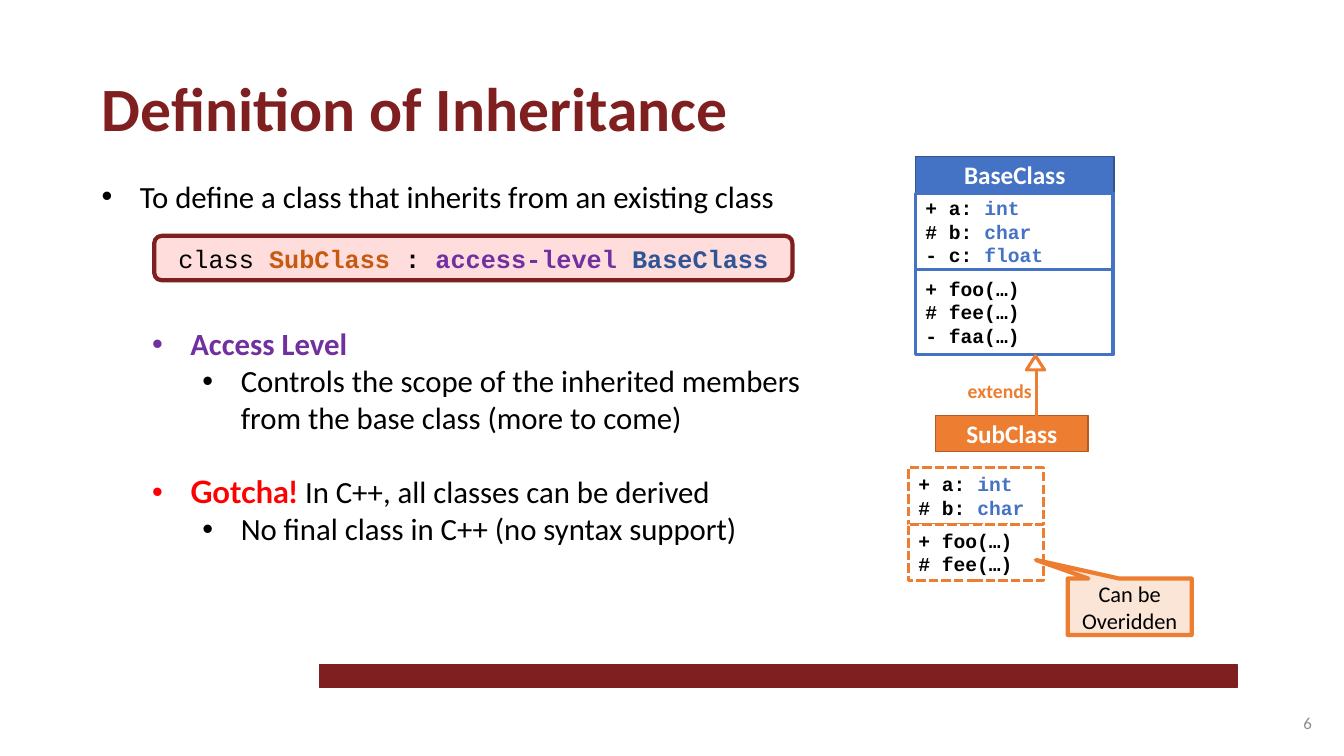
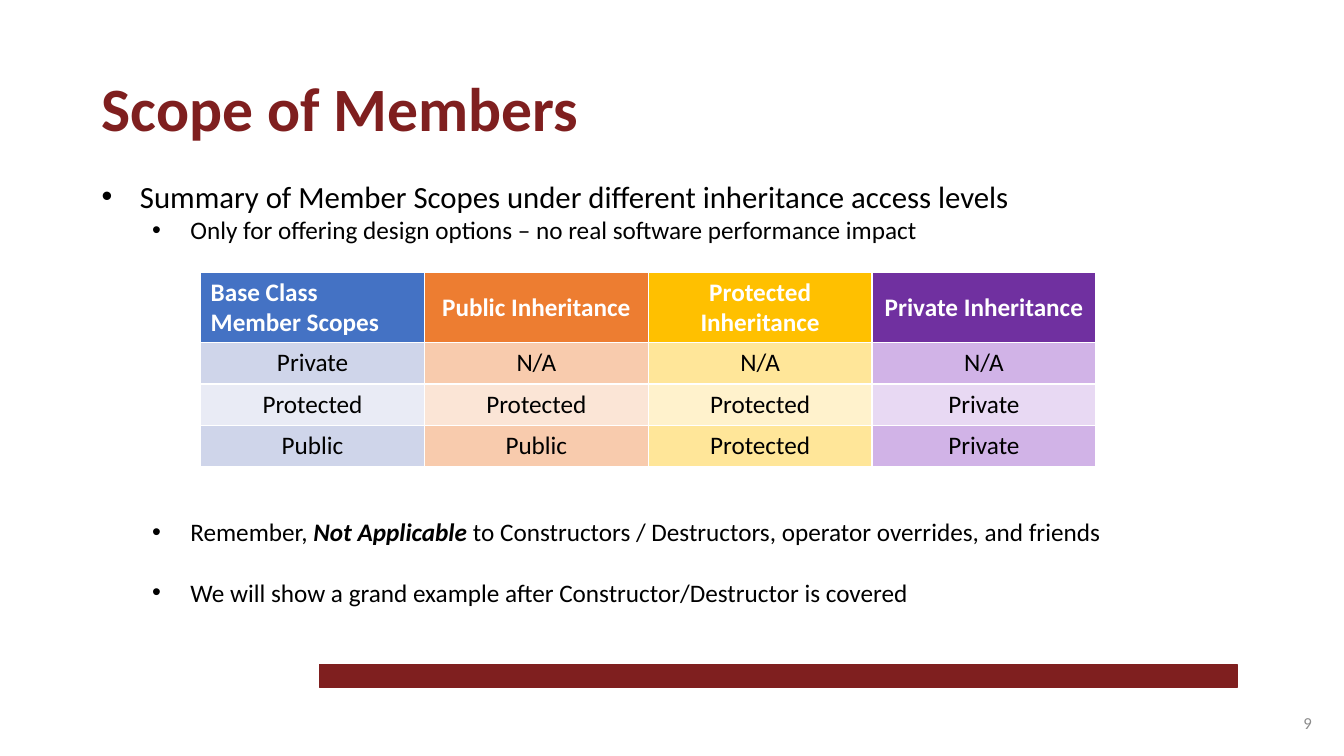
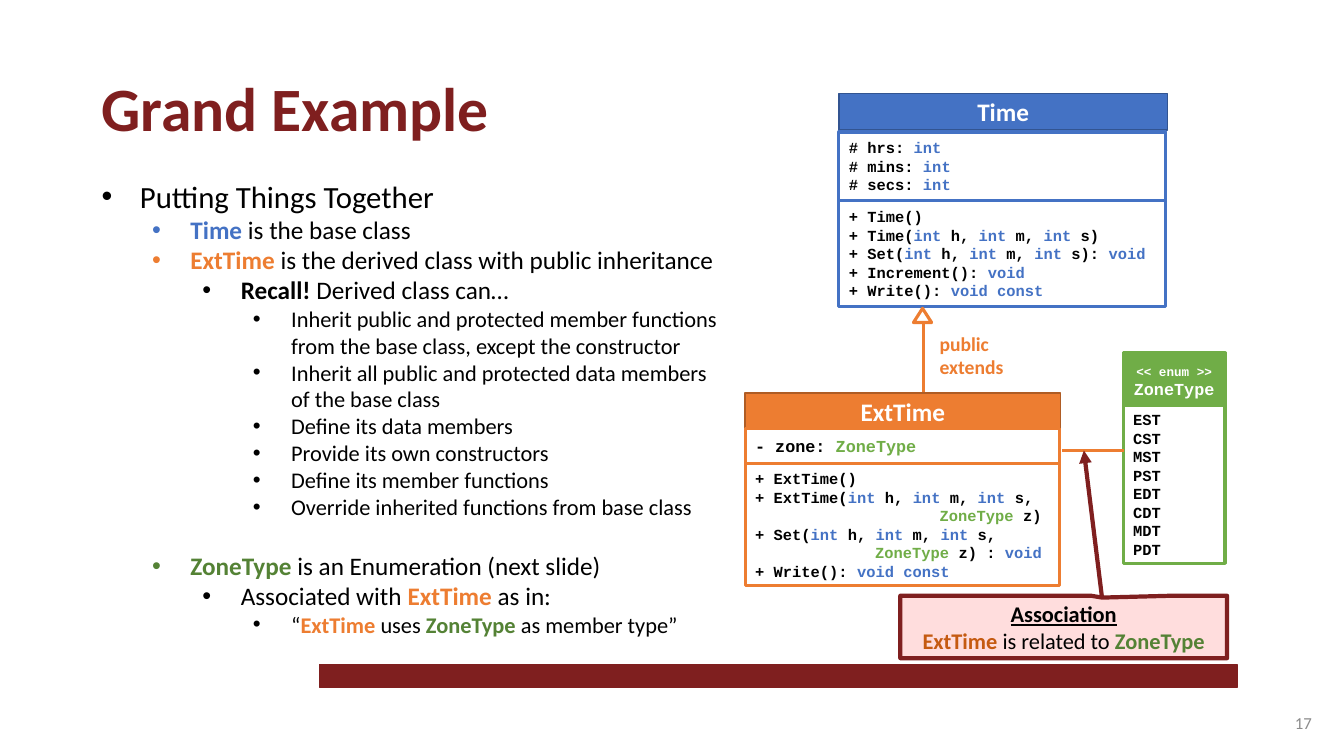
from lxml.etree import SubElement
from pptx import Presentation
from pptx.dml.color import RGBColor
from pptx.enum.dml import MSO_LINE
from pptx.enum.shapes import MSO_CONNECTOR, MSO_SHAPE as SHAPE
from pptx.enum.text import MSO_ANCHOR as ANCHOR, PP_ALIGN as ALIGN
from pptx.oxml.ns import qn
from pptx.util import Inches, Pt

COLORS = {
    "black": "000000", "white": "FFFFFF", "gray": "8C8C8C", "red": "FF0000",
    "maroon": "7F1F1F", "pink": "FFDDDD", "purple": "7030A0",
    "blue": "4472C4", "navy": "325491", "deepblue": "2F5597",
    "orange": "ED7D31", "brown": "AF5C24", "rust": "C55A11", "peach": "FBE5D6",
    "green": "70AD47", "forest": "548235",
}
SANS, CODE = "Calibri", "Courier New"
LINE_HEIGHT = 1.2
HEADER_HEIGHT = 0.36


def rgb(value):
    """Colour from a hex string or a name in COLORS."""
    return RGBColor.from_string(COLORS.get(value, value))


def split_marks(text):
    """Yield (styles, words); marked words look like [blue+b words]."""
    for piece in text.split("["):
        marked, bracket, plain = piece.rpartition("]")
        if bracket:
            styles, words = marked.split(" ", 1)
            yield styles.split("+"), words
        if plain:
            yield [], plain


class Deck:
    """The shared style and the slide being drawn."""

    def __init__(self):
        self.presentation = Presentation()
        self.presentation.slide_width = Inches(13.33)
        self.presentation.slide_height = Inches(7.5)
        self.slide = None

    def add_slide(self, title, number):
        self.slide = self.presentation.slides.add_slide(self.presentation.slide_layouts[6])
        self.box(3.17, 6.59, 9.1, 0.23, fill="maroon", line="maroon")
        self.label(0.91, 0.64, 8.1, 0.84, title, size=44, color="maroon", bold=True)
        self.label(10.11, 6.97, 3, 0.4, number, size=12, color="gray",
                   align=ALIGN.RIGHT, anchor=ANCHOR.MIDDLE)

    # Text
    def style_run(self, font, styles):
        for style in styles:
            if style in COLORS:
                font.color.rgb = rgb(style)
            elif style.isdigit():
                font.size = Pt(int(style))
            elif style == "b":
                font.bold = True
            elif style == "i":
                font.italic = True
            elif style == "u":
                font.underline = True
            else:
                font.name = style

    def fill_paragraph(self, paragraph, text, size, color="black", bold=False,
                       font=SANS, align=ALIGN.LEFT, exact=True):
        paragraph.alignment = align
        if exact:
            paragraph.line_spacing = Pt(size * LINE_HEIGHT)
        paragraph.font.name = font
        paragraph.font.size = Pt(size)
        paragraph.font.bold = bold
        paragraph.font.color.rgb = rgb(color)
        for styles, words in split_marks(text):
            for index, part in enumerate(words.split("\n")):
                if index:
                    paragraph.add_line_break()
                run = paragraph.add_run()
                run.text = part
                self.style_run(run.font, styles)

    def fill_frame(self, frame, lines, anchor=ANCHOR.MIDDLE, **style):
        """Fill a frame; a line is a string or (left indent, string)."""
        frame.word_wrap = True
        frame.vertical_anchor = anchor
        for index, line in enumerate(lines):
            paragraph = frame.add_paragraph() if index else frame.paragraphs[0]
            indent, text = (0, line) if isinstance(line, str) else line
            self.fill_paragraph(paragraph, text, **style)
            if indent:
                paragraph._p.get_or_add_pPr().set("marL", str(Inches(indent)))

    def text_box(self, left, top, width, height):
        return self.slide.shapes.add_textbox(
            Inches(left), Inches(top), Inches(width), Inches(height)).text_frame

    def label(self, left, top, width, height, text, anchor=ANCHOR.TOP, **style):
        self.fill_frame(self.text_box(left, top, width, height), [text], anchor, **style)

    def bullets(self, width, height, items):
        """Items are (level, size, text, empty lines' worth of space before)."""
        frame = self.text_box(0.91, 1.71, width, height)
        frame.word_wrap = True
        for index, (level, size, text, gap) in enumerate(items):
            paragraph = frame.add_paragraph() if index else frame.paragraphs[0]
            paragraph.level = level
            self.fill_paragraph(paragraph, text, size)
            paragraph.space_before = Pt(gap * LINE_HEIGHT * size)
            properties = paragraph._p.get_or_add_pPr()
            properties.set("marL", str(Inches(0.38 + 0.5 * level)))
            properties.set("indent", str(Inches(-0.38)))
            bullet_font = properties.makeelement(qn("a:buFont"), {"typeface": "Arial"})
            bullet = properties.makeelement(qn("a:buChar"), {"char": "•"})
            defaults = properties.find(qn("a:defRPr"))
            defaults.addprevious(bullet_font)
            defaults.addprevious(bullet)

    # Shapes
    def box(self, left, top, width, height, kind=SHAPE.RECTANGLE, fill=None,
            line="black", weight=1, dashed=False, lines=(), adjustments=(), **style):
        shape = self.slide.shapes.add_shape(
            kind, Inches(left), Inches(top), Inches(width), Inches(height))
        shape.shadow.inherit = False
        if fill:
            shape.fill.solid()
            shape.fill.fore_color.rgb = rgb(fill)
        else:
            shape.fill.background()
        shape.line.color.rgb = rgb(line)
        shape.line.width = Pt(weight)
        if dashed:
            shape.line.dash_style = MSO_LINE.SQUARE_DOT
        for index, value in enumerate(adjustments):
            shape.adjustments[index] = value
        if lines:
            self.fill_frame(shape.text_frame, lines, **style)

    def line(self, start, end, color, weight, arrow=False):
        connector = self.slide.shapes.add_connector(
            MSO_CONNECTOR.STRAIGHT, *(Inches(value) for value in start + end))
        connector.line.color.rgb = rgb(color)
        connector.line.width = Pt(weight)
        if arrow:
            SubElement(connector.line._get_or_add_ln(), qn("a:tailEnd"), type="triangle")
        SubElement(connector._element.spPr, qn("a:effectLst"))

    # Class diagrams
    def class_name(self, left, top, width, name, fill, line):
        self.box(left, top, width, HEADER_HEIGHT, fill=fill, line=line, lines=[name],
                 size=18, color="white", bold=True, align=ALIGN.CENTER)

    def compartments(self, left, top, width, color, parts, dashed=False):
        """Stack member boxes; parts are (height, text size, lines)."""
        for height, size, lines in parts:
            self.box(left, top, width, height, fill="white", line=color, weight=2.25,
                     dashed=dashed, lines=lines, size=size, bold=True, font=CODE)
            top += height

    def extends_arrow(self, x, top, bottom):
        self.box(x - 0.1, top, 0.18, 0.14, SHAPE.ISOSCELES_TRIANGLE,
                 line="orange", weight=2.25)
        self.line((x, top + 0.14), (x, bottom), "orange", 2.25)

    def callout(self, left, top, width, height, lines, fill, line, adjustments):
        self.box(left, top, width, height, SHAPE.RECTANGULAR_CALLOUT, fill=fill,
                 line=line, weight=3, adjustments=adjustments, lines=lines,
                 size=16, align=ALIGN.CENTER)

    # Tables
    def table(self, left, top, column_width, row_heights, rows, fills):
        columns = len(rows[0])
        table = self.slide.shapes.add_table(
            len(rows), columns, Inches(left), Inches(top),
            Inches(column_width * columns), Inches(sum(row_heights))).table
        for column in table.columns:
            column.width = Inches(column_width)
        for row_index, (height, texts) in enumerate(zip(row_heights, rows)):
            table.rows[row_index].height = Inches(height)
            header = row_index == 0
            for column_index, text in enumerate(texts):
                cell = table.cell(row_index, column_index)
                cell.fill.solid()
                # Body rows alternate between the second and third shade
                shade = 0 if header else 2 - row_index % 2
                cell.fill.fore_color.rgb = rgb(fills[column_index][shade])
                corner = header and column_index == 0
                cell.vertical_anchor = ANCHOR.MIDDLE if header and not corner else ANCHOR.TOP
                self.fill_frame(cell.text_frame, text.split("\n"), cell.vertical_anchor,
                                size=18, color="white" if header else "black", bold=header,
                                align=ALIGN.LEFT if corner else ALIGN.CENTER, exact=False)


def definition_slide(deck):
    deck.add_slide("Definition of Inheritance", "6")
    deck.bullets(11.23, 4.11, [
        (0, 22, "To define a class that inherits from an existing class", 0),
        (1, 22, "[purple+b Access Level]", 3),
        (2, 22, "[black Controls the scope of the inherited members\n"
                "from the base class (more to come)]", 0),
        (1, 22, "[red+b+Lato Gotcha! ]In C++, all classes can be derived", 1),
        (2, 22, "No final class in C++ (no syntax support)", 0),
    ])
    # Base class
    deck.class_name(9.08, 1.55, 1.97, "BaseClass", "blue", "navy")
    deck.compartments(9.08, 1.92, 1.96, "blue", [
        (0.75, 14, ["+ a: [blue int]", "# b: [blue char]", "- c: [blue float]"]),
        (0.85, 14, ["+ foo(…)", "# fee(…)", "- faa(…)"]),
    ])
    # Derived class
    deck.class_name(9.28, 4.12, 1.51, "SubClass", "orange", "brown")
    deck.extends_arrow(10.28, 3.53, 4.14)
    deck.label(9.5, 3.71, 1.03, 0.34, "extends", size=14, color="orange", bold=True)
    deck.compartments(9.01, 4.64, 1.34, "orange", [
        (0.56, 14, ["+ a: [blue int]", "# b: [blue char]"]),
        (0.56, 14, ["+ foo(…)", "# fee(…)"]),
    ], dashed=True)
    deck.callout(10.59, 5.74, 1.23, 0.56, ["Can be Overidden"],
                 "peach", "orange", (-0.757, -0.83))
    # Syntax
    deck.box(1.53, 2.34, 6.33, 0.44, SHAPE.ROUNDED_RECTANGLE, fill="pink", line="maroon",
             weight=3, size=18, font=CODE, align=ALIGN.CENTER,
             lines=["class [rust+b SubClass][b  : ][purple+b access-level ][deepblue+b BaseClass]"])


def scope_slide(deck):
    deck.add_slide("Scope of Members", "9")
    deck.bullets(10.21, 4.64, [
        (0, 22, "Summary of Member Scopes under different inheritance access levels", 0),
        (1, 18, "Only for offering design options – no real software performance impact", 0),
        (1, 18, "Remember, [b+i Not Applicable] to Constructors / Destructors, "
                "operator overrides, and friends", 9),
        (1, 18, "We will show a grand example after Constructor/Destructor is covered", 1),
    ])
    deck.table(1.99, 2.7, 2.22, [0.69, 0.41, 0.41, 0.41], [
        ["Base Class\nMember Scopes", "Public Inheritance", "Protected Inheritance",
         "Private Inheritance"],
        ["Private", "N/A", "N/A", "N/A"],
        ["Protected", "Protected", "Protected", "Private"],
        ["Public", "Public", "Protected", "Private"],
    ], [
        ("blue", "CFD5EA", "E9EBF5"),
        ("orange", "F8CBAD", "FBE5D6"),
        ("FFC000", "FFE699", "FFF2CC"),
        ("purple", "D1B3E7", "E8D9F3"),
    ])


def example_slide(deck):
    deck.add_slide("Grand Example", "17")
    deck.bullets(6.39, 5.28, [
        (0, 22, "Putting Things Together", 0),
        (1, 18, "[blue+b Time] is the base class", 0),
        (1, 18, "[orange+b ExtTime] is the derived class with public inheritance", 0),
        (2, 18, "[b Recall! ]Derived class can…", 0),
        (3, 16, "Inherit public and protected member functions from the base class, "
                "except the constructor", 0),
        (3, 16, "Inherit all public and protected data members of the base class", 0),
        (3, 16, "Define its data members", 0),
        (3, 16, "Provide its own constructors", 0),
        (3, 16, "Define its member functions", 0),
        (3, 16, "Override inherited functions from base class", 0),
        (1, 18, "[forest+b ZoneType] is an Enumeration (next slide)", 1),
        (2, 18, "Associated with [orange+b ExtTime] as in:", 0),
        (3, 16, "“[orange+b ExtTime] uses [forest+b ZoneType] as member type”", 0),
    ])
    arguments = "[blue int] h, [blue int] m, [blue int] s"
    output_method = "+ Write(): [blue void const]"
    # Base class
    deck.class_name(8.32, 0.93, 3.26, "Time", "blue", "navy")
    deck.compartments(8.32, 1.31, 3.24, "blue", [
        (0.68, 11, [f"# {field}: [blue int]" for field in ("hrs", "mins", "secs")]),
        (1.05, 11, ["+ Time()", f"+ Time({arguments})", f"+ Set({arguments}): [blue void]",
                    "+ Increment(): [blue void]", output_method]),
    ])
    # Derived class
    deck.class_name(7.39, 3.9, 3.13, "ExtTime", "orange", "brown")
    deck.extends_arrow(9.16, 3.06, 3.89)
    deck.label(9.22, 3.24, 1.03, 0.57, "public extends", size=14, color="orange", bold=True)
    deck.compartments(7.39, 4.25, 3.12, "orange", [
        (0.35, 12, ["- zone: [green ZoneType]"]),
        (1.21, 11, ["+ ExtTime()", f"+ ExtTime({arguments},", (1.83, "[green ZoneType] z)"),
                    f"+ Set({arguments},", (1.19, "[green ZoneType] z) : [blue void]"),
                    output_method]),
    ])
    # Enumeration and its association
    deck.box(11.14, 3.5, 1.01, 0.52, fill="green", line="green", weight=2.25,
             lines=["[9 << enum >>]", "ZoneType"], size=12, color="white", bold=True,
             font=CODE, align=ALIGN.CENTER)
    deck.compartments(11.14, 4.02, 1.01, "green", [
        (1.57, 11, ["EST", "CST", "MST", "PST", "EDT", "CDT", "MDT", "PDT"]),
    ])
    deck.line((11.15, 4.47), (10.53, 4.47), "orange", 2.25)
    deck.callout(8.93, 5.91, 3.24, 0.62,
                 ["[b+u Association]", "[rust+b ExtTime ]is related to [forest+b ZoneType]"],
                 "pink", "maroon", (0.118, -0.47))
    deck.line((10.93, 5.93), (10.75, 4.47), "maroon", 3, arrow=True)


def main():
    deck = Deck()
    for build in (definition_slide, scope_slide, example_slide):
        build(deck)
    deck.presentation.save("out.pptx")


if __name__ == "__main__":
    main()
